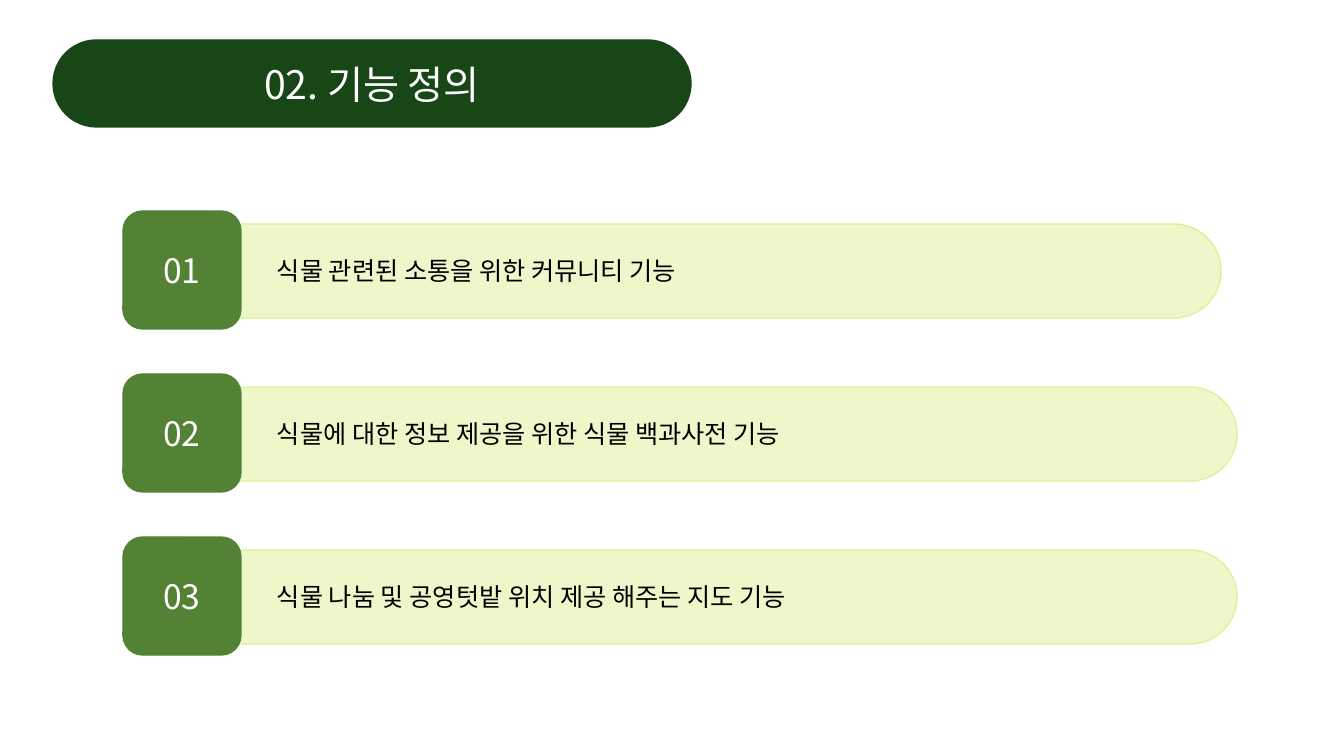
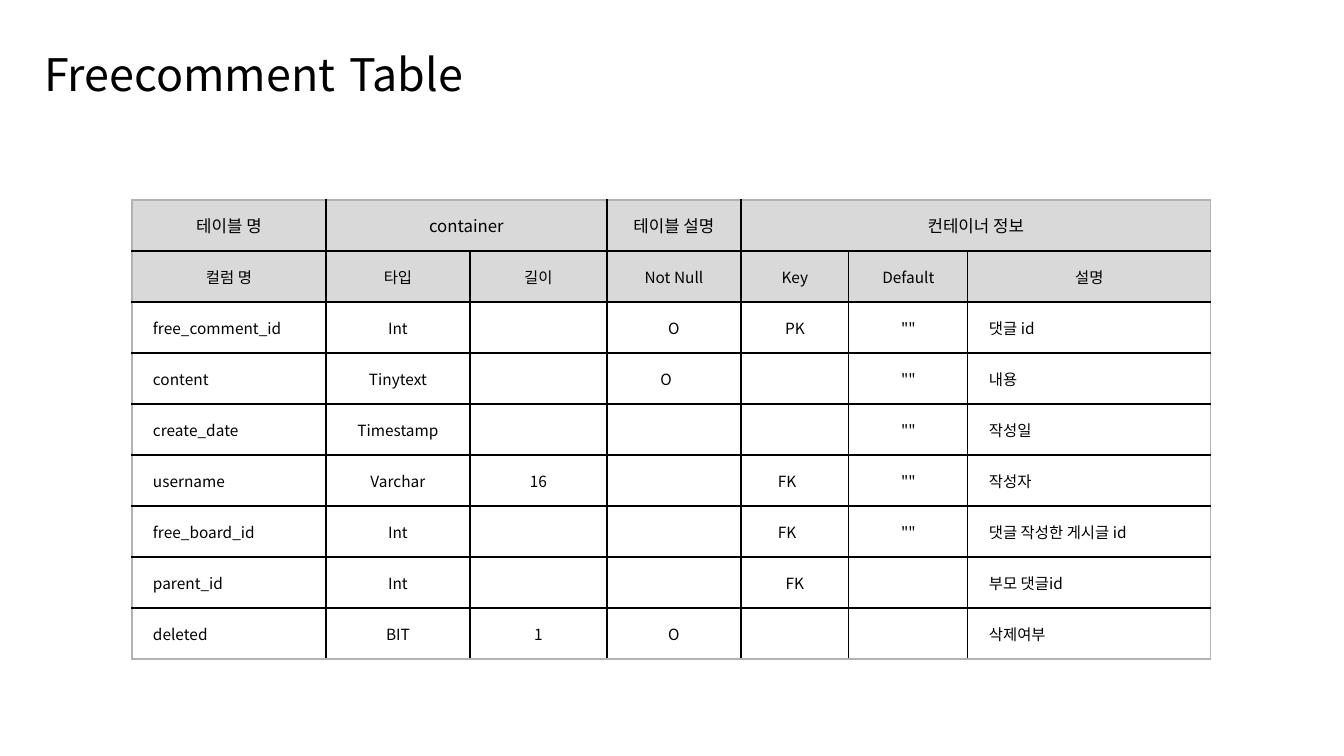
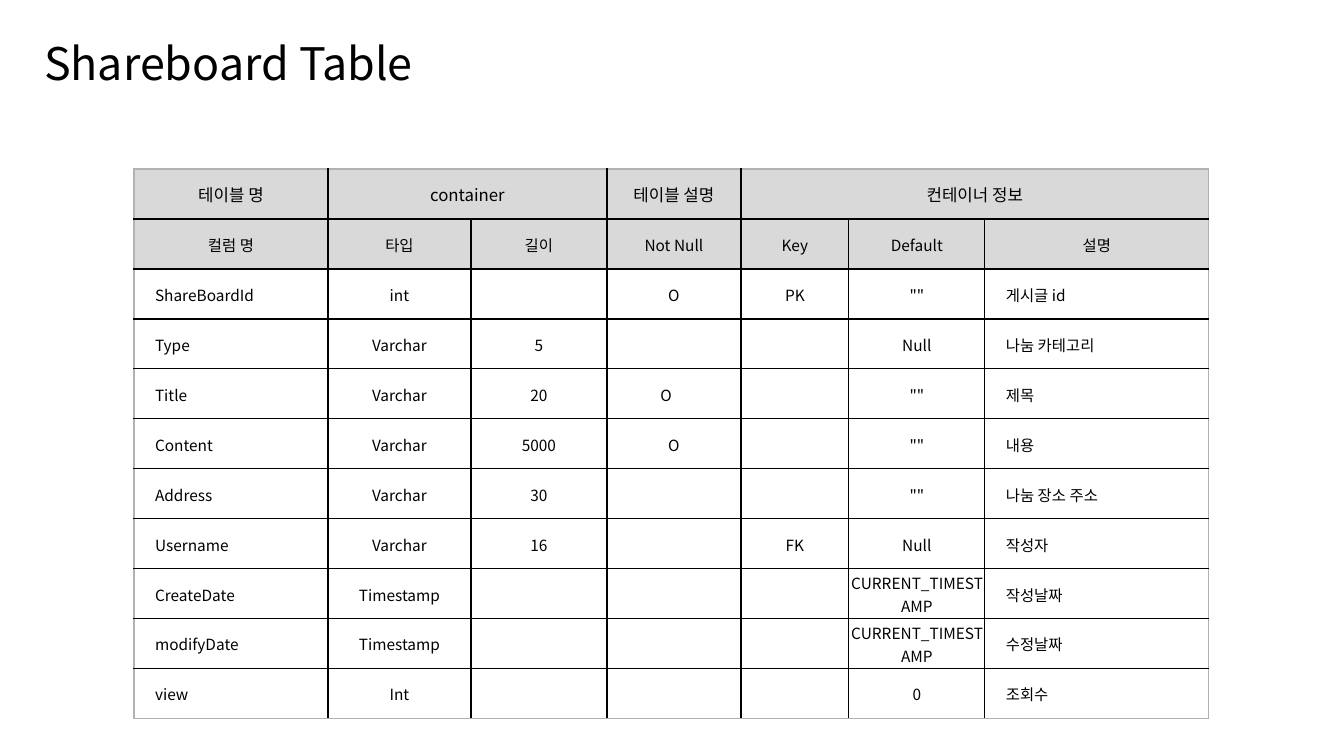
from lxml import etree
from pptx import Presentation
from pptx import util as u
from pptx.dml.color import RGBColor
from pptx.enum import shapes, text
from pptx.oxml.ns import qn

# Shared style
FONT = "Noto Sans CJK KR"
BLACK = RGBColor(0x00, 0x00, 0x00)
WHITE = RGBColor(0xFF, 0xFF, 0xFF)
FOREST = RGBColor(0x19, 0x46, 0x16)
LEAF = RGBColor(0x54, 0x82, 0x35)
LIME = RGBColor(0xDE, 0xF0, 0x9A)
HEADER_GRAY = RGBColor(0xD9, 0xD9, 0xD9)
EDGE_GRAY = RGBColor(0xB2, 0xB2, 0xB2)

EMU_PER_PX = 914400 / 100.8
SLIDE_W, SLIDE_H = 1344, 756
LEFT, CENTER = text.PP_ALIGN.LEFT, text.PP_ALIGN.CENTER
MIDDLE = text.MSO_ANCHOR.MIDDLE

# Content
FEATURES = [
    ("01", "식물 관련된 소통을 위한 커뮤니티 기능", 149),
    ("02", "식물에 대한 정보 제공을 위한 식물 백과사전 기능", 165),
    ("03", "식물 나눔 및 공영텃밭 위치 제공 해주는 지도 기능", 165),
]
# None marks a cell covered by the heading to its left
HEADINGS = [
    ["테이블 명", "container", None, "테이블 설명", "컨테이너 정보", None, None],
    ["컬럼 명", "타입", "길이", "Not Null", "Key", "Default", "설명"],
]
COMMENT_FIELDS = [
    ["free_comment_id", "Int", "", "O", "PK", '""', "댓글 id"],
    ["content", "Tinytext", "", "O　", "", '""', "내용"],
    ["create_date", "Timestamp", "", "", "", '""', "작성일"],
    ["username", "Varchar", "16", "", "FK　", '""', "작성자"],
    ["free_board_id", "Int", "", "", "FK　", '""', "댓글 작성한 게시글 id"],
    ["parent_id", "Int", "", "", "FK", "", "부모 댓글id"],
    ["deleted", "BIT", "1", "O", "", "", "삭제여부"],
]
SHARE_FIELDS = [
    ["ShareBoardId", "int", "", "O", "PK", '""', "게시글 id"],
    ["Type", "Varchar", "5", "", "", "Null", "나눔 카테고리"],
    ["Title", "Varchar", "20", "O　", "", '""', "제목"],
    ["Content", "Varchar", "5000", "O", "", '""', "내용"],
    ["Address", "Varchar", "30", "", "", '""', "나눔 장소 주소"],
    ["Username", "Varchar", "16", "", "FK", "Null", "작성자"],
    ["CreateDate", "Timestamp", "", "", "", "CURRENT_TIMESTAMP", "작성날짜"],
    ["modifyDate", "Timestamp", "", "", "", "CURRENT_TIMESTAMP", "수정날짜"],
    ["view", "Int", "", "", "", "0", "조회수"],
]


def px(length):
    return u.Emu(round(length * EMU_PER_PX))


def box_emu(box):
    return [px(length) for length in box]


def write(frame, words, size=18, color=BLACK, align=LEFT, spacing=None):
    """Add words, a string or (string, size) pairs, to the first paragraph."""
    paragraph = frame.paragraphs[0]
    paragraph.alignment = align
    if spacing:
        paragraph.line_spacing = spacing
    paragraph.font.size = u.Pt(size)
    pairs = [(words, size)] if isinstance(words, str) else words
    for part, part_size in pairs:
        run = paragraph.add_run()
        run.text = part
        run.font.size = u.Pt(part_size)
        run.font.name = FONT
        run.font.color.rgb = color
        etree.SubElement(run.font._element, qn("a:ea")).set("typeface", FONT)
    return paragraph


def add_round_box(slide, box, color, radius=None, opacity=None):
    panel = slide.shapes.add_shape(shapes.MSO_SHAPE.ROUNDED_RECTANGLE, *box_emu(box))
    panel.shadow.inherit = False
    panel.fill.solid()
    panel.fill.fore_color.rgb = color
    panel.line.color.rgb = color
    panel.line.width = u.Pt(1)
    if radius is not None:
        panel.adjustments[0] = radius
    if opacity is not None:
        fill_color = panel.fill._xPr.find(qn("a:solidFill"))[0]
        etree.SubElement(fill_color, qn("a:alpha")).set("val", str(opacity * 1000))
    return panel


def set_title(slide, words, box, **style):
    title = slide.shapes.title
    title.left, title.top, title.width, title.height = box_emu(box)
    frame = title.text_frame
    frame.auto_size = text.MSO_AUTO_SIZE.NONE
    frame.word_wrap = True
    frame.vertical_anchor = MIDDLE
    write(frame, words, **style)


def add_feature_row(slide, left, top, number, feature, bar_left):
    """Pale bar, numbered tile and feature text, placed from the tile's corner."""
    add_round_box(slide, (bar_left, top + 13, 1072, 94), LIME, radius=0.5, opacity=52)
    tile = add_round_box(slide, (left, top, 118, 118), LEAF)
    tile.text_frame.vertical_anchor = MIDDLE
    write(tile.text_frame, number, size=24, color=WHITE, align=CENTER)
    label = slide.shapes.add_textbox(*box_emu((left + 144, top + 39, 630, 40)))
    label.text_frame.word_wrap = False
    label.text_frame.auto_size = text.MSO_AUTO_SIZE.SHAPE_TO_FIT_TEXT
    write(label.text_frame, feature, size=18)


def set_borders(cell, colors):
    """Draw the cell's sides; colors maps L, R, T, B to a colour, in that order."""
    properties = cell._tc.get_or_add_tcPr()
    for side, color in colors.items():
        line = etree.SubElement(properties, qn("a:ln" + side), w=str(u.Pt(1)))
        solid = etree.SubElement(line, qn("a:solidFill"))
        etree.SubElement(solid, qn("a:srgbClr"), val=str(color))


def add_field_table(slide, left, top, widths, row_height, fields):
    rows = HEADINGS + fields
    row_count, column_count = len(rows), len(widths)
    box = (left, top, sum(widths), row_height * row_count)
    table = slide.shapes.add_table(row_count, column_count, *box_emu(box)).table
    table.first_row = table.horz_banding = False
    for column, width in zip(table.columns, widths):
        column.width = px(width)
    for r, row in enumerate(rows):
        table.rows[r].height = px(row_height)
        for c, words in enumerate(row):
            cell = table.cell(r, c)
            # Span of a heading: itself and the covered cells after it
            last = c
            while last + 1 < column_count and row[last + 1] is None:
                last += 1
            sides = {} if words is None else {
                "L": BLACK if c else EDGE_GRAY,
                "R": BLACK if last < column_count - 1 else EDGE_GRAY,
            }
            sides["T"] = BLACK if r else EDGE_GRAY
            sides["B"] = BLACK if r < row_count - 1 else EDGE_GRAY
            set_borders(cell, sides)
            if r < len(HEADINGS):
                cell.fill.solid()
                cell.fill.fore_color.rgb = HEADER_GRAY
            else:
                cell.fill.background()
            if words is None:
                continue
            if last > c:
                cell.merge(table.cell(r, last))
            cell.vertical_anchor = MIDDLE
            if r:
                cell.margin_left = cell.margin_right = cell.margin_top = px(1)
                cell.margin_bottom = 0
            # Field names and descriptions are indented, the rest centred
            indented = r >= len(HEADINGS) and c in (0, column_count - 1)
            paragraph = write(cell.text_frame, words, size=11 if r else 12,
                              align=LEFT if indented else CENTER)
            if indented:
                paragraph._p.get_or_add_pPr().set("marL", str(px(20)))
                paragraph._p.get_or_add_pPr().set("indent", "0")


def build_feature_slide(slide):
    title_box = (53, 40, 638, 87)
    pill = add_round_box(slide, title_box, FOREST, radius=0.5)
    # The pill lies behind the title
    slide.shapes.title._element.addprevious(pill._element)
    set_title(slide, "02. 기능 정의", title_box, size=28, color=WHITE, align=CENTER)
    for i, (number, feature, bar_left) in enumerate(FEATURES):
        add_feature_row(slide, 123, 211 + 163 * i, number, feature, bar_left)


def build_table_slide(slide, title, title_box, **table):
    set_title(slide, title, title_box, size=32, spacing=0.9)
    add_field_table(slide, **table)


def main():
    deck = Presentation()
    deck.slide_width, deck.slide_height = px(SLIDE_W), px(SLIDE_H)
    title_only = deck.slide_layouts[5]

    build_feature_slide(deck.slides.add_slide(title_only))
    build_table_slide(
        deck.slides.add_slide(title_only),
        [("Freecomment", 32), (" ", 44), ("Table", 32)], (34, 32, 1159, 79),
        left=132, top=200, widths=[194, 144, 137, 134, 108, 119, 243],
        row_height=51, fields=COMMENT_FIELDS)
    build_table_slide(
        deck.slides.add_slide(title_only),
        "Shareboard Table", (34, 30, 1159, 72),
        left=134, top=169, widths=[194, 143, 136, 134, 108, 136, 224],
        row_height=50, fields=SHARE_FIELDS)
    deck.save("out.pptx")


if __name__ == "__main__":
    main()
